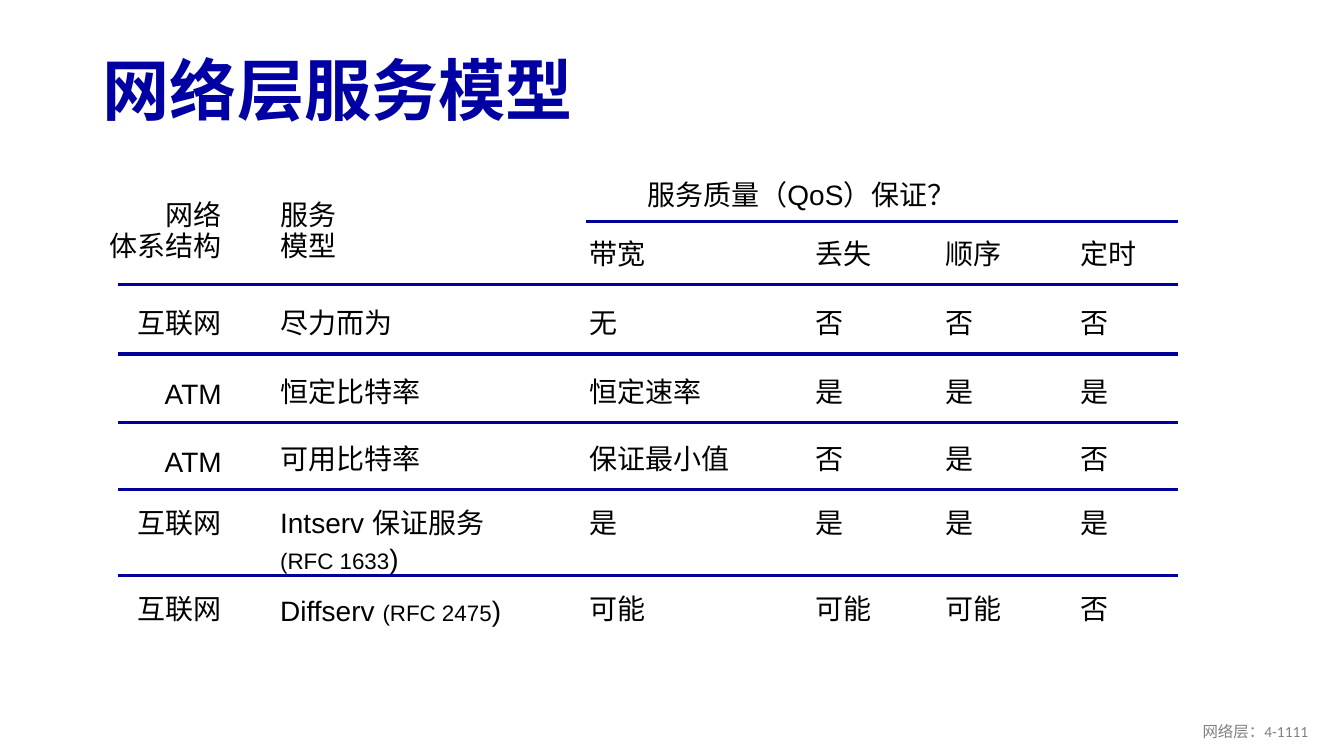
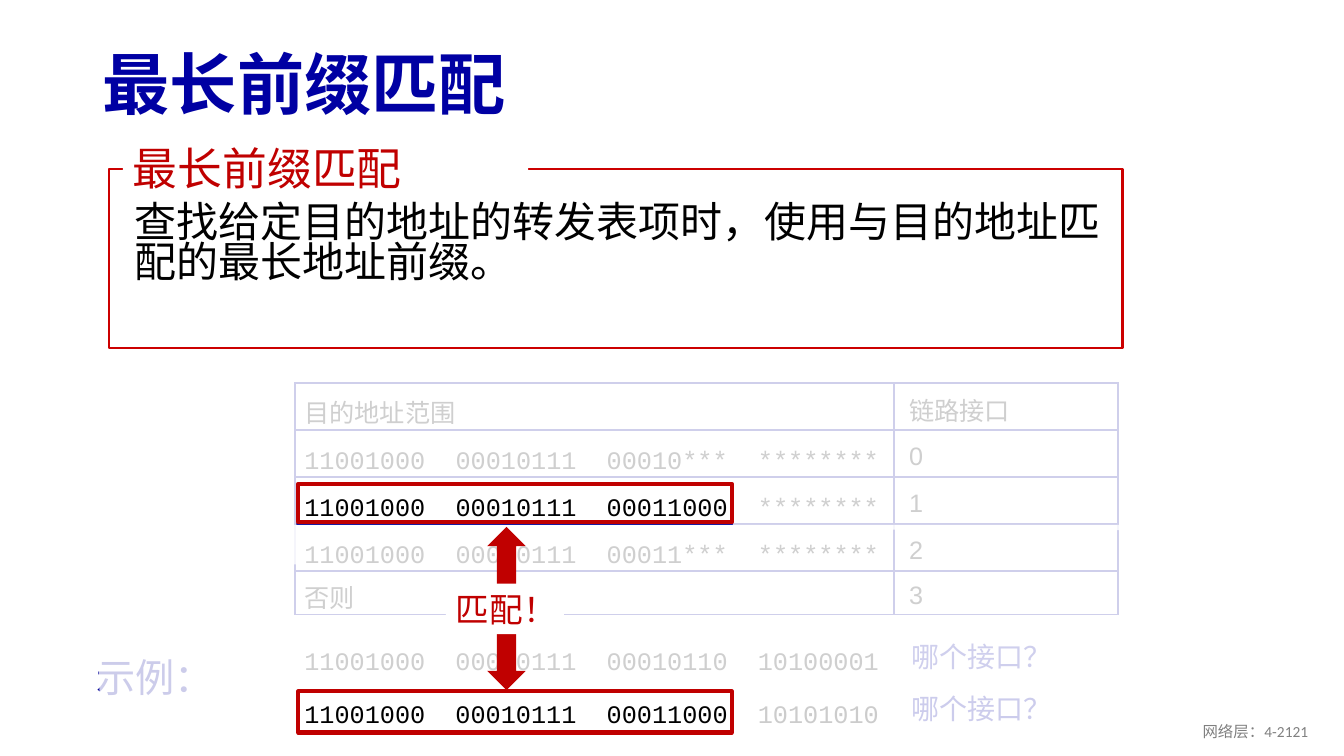
from itertools import pairwise

from lxml.etree import SubElement
from pptx import Presentation
from pptx.dml.color import RGBColor
from pptx.enum.shapes import MSO_CONNECTOR as Connector, MSO_SHAPE as Shape
from pptx.enum.text import MSO_ANCHOR as Anchor, PP_ALIGN as Align
from pptx.oxml.ns import qn
from pptx.util import Cm, Pt

TITLE_BLUE = RGBColor(0x00, 0x00, 0xA3)
RULE_BLUE = RGBColor(0x00, 0x00, 0x99)
FRAME_RED = RGBColor(0xCC, 0x00, 0x00)
MATCH_RED = RGBColor(0xC0, 0x00, 0x00)
GREY = RGBColor(0x80, 0x80, 0x80)
BLACK = RGBColor(0x00, 0x00, 0x00)
WHITE = RGBColor(0xFF, 0xFF, 0xFF)

PLAIN_TABLE = "{2D5ABB26-0587-4C30-8999-92F81FD0307C}"
OCTET_STEP = 3.81  # width of ten monospaced characters, in cm


# ---- Text and shapes ----
def write(frame, text, size=20, font="Arial", color=BLACK, bold=False,
          align=Align.LEFT, spacing=None, tab_step=None, small=16):
    """One paragraph per line; the part of a line after "|" is small, up to the next "|"."""
    for number, line in enumerate(text.split("\n")):
        paragraph = frame.paragraphs[0] if number == 0 else frame.add_paragraph()
        if tab_step:
            tabs = SubElement(paragraph._p.get_or_add_pPr(), qn("a:tabLst"))
            for stop in range(1, 4):
                SubElement(tabs, qn("a:tab"), pos=str(Cm(tab_step * stop)), algn="l")
        paragraph.alignment = align
        if spacing:
            paragraph.line_spacing = spacing
        for part, words in enumerate(line.split("|")):
            if not words:
                continue
            run = paragraph.add_run()
            run.text = words
            run.font.size = Pt(small if part == 1 else size)
            run.font.name = font
            run.font.bold = bold
            run.font.color.rgb = color


def add_text(slide, box, text, anchor=Anchor.TOP, wrap=True, **style):
    frame = slide.shapes.add_textbox(*map(Cm, box)).text_frame
    frame.word_wrap = wrap
    frame.vertical_anchor = anchor
    write(frame, text, **style)


def paint(shape, fill=None, line=None, weight=1.5, opacity=None):
    shape.shadow.inherit = False
    if fill is None:
        shape.fill.background()
    else:
        shape.fill.solid()
        shape.fill.fore_color.rgb = fill
        if opacity:
            color = shape.fill._xPr.find(".//" + qn("a:srgbClr"))
            SubElement(color, qn("a:alpha"), val=str(opacity * 1000))
    if line is None:
        shape.line.fill.background()
    else:
        shape.line.color.rgb = line
        shape.line.width = Pt(weight)


def add_box(slide, box, kind=Shape.RECTANGLE, **look):
    shape = slide.shapes.add_shape(kind, *map(Cm, box))
    paint(shape, **look)
    return shape


def add_label(slide, box, text, **style):
    label = add_box(slide, box, fill=WHITE).text_frame
    label.word_wrap = False
    label.vertical_anchor = Anchor.TOP
    write(label, text, font="Calibri", color=MATCH_RED, **style)


def add_rule(slide, left, right, y):
    rule = slide.shapes.add_connector(Connector.STRAIGHT, Cm(left), Cm(y), Cm(right), Cm(y))
    rule.line.color.rgb = RULE_BLUE
    rule.line.width = Pt(2.25)
    SubElement(rule._element.spPr, qn("a:effectLst"))


def add_veil(slide, points, opacity=81):
    start, *others = [(Cm(x), Cm(y)) for x, y in points]
    builder = slide.shapes.build_freeform(*start)
    builder.add_line_segments(others, close=True)
    paint(builder.convert_to_shape(), fill=WHITE, opacity=opacity)


# ---- Tables ----
def add_grid(slide, column_edges, row_edges):
    widths = [right - left for left, right in pairwise(column_edges)]
    heights = [bottom - top for top, bottom in pairwise(row_edges)]
    holder = slide.shapes.add_table(
        len(heights), len(widths), Cm(column_edges[0]), Cm(row_edges[0]),
        Cm(sum(widths)), Cm(sum(heights)))
    table = holder.table
    table.first_row = table.horz_banding = False
    next(holder._element.iter(qn("a:tableStyleId"))).text = PLAIN_TABLE
    for column, width in zip(table.columns, widths):
        column.width = Cm(width)
    for row, height in zip(table.rows, heights):
        row.height = Cm(height)
    return table


def format_cell(cell, left=0.1, right=0, top=0, anchor=Anchor.MIDDLE, sides=""):
    cell.margin_left, cell.margin_right = Cm(left), Cm(right)
    cell.margin_top, cell.margin_bottom = Cm(top), Cm(0)
    cell.vertical_anchor = anchor
    properties = cell._tc.get_or_add_tcPr()
    for side in sides:
        border = SubElement(properties, qn("a:ln" + side), w=str(Pt(1.5)))
        SubElement(SubElement(border, qn("a:solidFill")), qn("a:srgbClr"), val=str(RULE_BLUE))
    cell.fill.background()


# ---- Parts every slide has ----
def start_slide(deck, title, title_top):
    slide = deck.slides.add_slide(deck.slide_layouts[6])
    add_text(slide, (2.34, title_top, 29.21, 2.49), title, anchor=Anchor.MIDDLE,
             size=48, font="Calibri", color=TITLE_BLUE, bold=True, spacing=0.9)
    return slide


def add_footer(slide, page):
    add_text(slide, (25.6, 17.91, 7.62, 1.02), f"网络层：{page}", anchor=Anchor.MIDDLE,
             size=11, font="Calibri", color=GREY, align=Align.RIGHT)


# ---- Slide: service models ----
SERVICE_ROWS = [
    ["网络\n体系结构", "服务\n模型", "服务质量（QoS）保证？", "", "", ""],
    ["", "", "带宽", "丢失", "顺序", "定时"],
    ["互联网", "尽力而为", "无", "否", "否", "否"],
    ["ATM", "恒定比特率", "恒定速率", "是", "是", "是"],
    ["ATM", "可用比特率", "保证最小值", "否", "是", "否"],
    ["互联网", "Intserv 保证服务\n|(RFC 1633|)", "是", "是", "是", "是"],
    ["互联网", "Diffserv |(RFC 2475|)", "可能", "可能", "可能", "否"],
]


def add_service_table(slide, left, top):
    columns = [left + x for x in (0, 4.24, 12.04, 17.73, 21, 24.41, 26.97)]
    rows = [top + y for y in (0, 1.25, 2.82, 4.58, 6.3, 8, 10.16, 11.66)]
    table = add_grid(slide, columns, rows)
    for r, texts in enumerate(SERVICE_ROWS):
        low = r >= len(SERVICE_ROWS) - 2
        for c, text in enumerate(texts):
            tall_header = r == 0 and c < 2
            format_cell(table.cell(r, c),
                        left=0 if c == 0 else 1.55 if (r, c) == (0, 2) else 0.1,
                        right=1.37 if c == 0 else 0,
                        top=0.33 if low else 0.15 if tall_header else 0,
                        anchor=Anchor.TOP if low else Anchor.MIDDLE)
            write(table.cell(r, c).text_frame, text, spacing=Pt(22 if tall_header else 24),
                  align=Align.RIGHT if c == 0 else Align.LEFT)
    for c in (0, 1):
        table.cell(0, c).merge(table.cell(1, c))
    table.cell(0, 2).merge(table.cell(0, 5))
    # Rules between the rows; the first one spans the guarantees only
    for number, y in enumerate(rows[1:-1]):
        add_rule(slide, columns[2] if number == 0 else left + 0.25, columns[-1], y)


def build_service_slide(deck):
    slide = start_slide(deck, "网络层服务模型", 1.12)
    add_service_table(slide, 2.72, 4.34)
    add_footer(slide, "4-1111")


# ---- Slide: longest prefix matching ----
FORWARDING_ROWS = [
    ("目的地址范围", "链路接口"),
    ("11001000\t00010111\t00010***\t********", "0"),
    ("11001000\t00010111\t00011000\t********", "1"),
    ("11001000\t00010111\t00011***\t********", "2"),
    ("否则", "3"),
]
EXAMPLES = ["11001000\t00010111\t00010110\t10100001",
            "11001000\t00010111\t00011000\t10101010"]


def add_definition(slide, left, top):
    add_box(slide, (left, top, 25.55, 4.5), fill=WHITE, line=FRAME_RED)
    add_text(slide, (left + 0.4, top + 0.78, 25.68, 3.35),
             "查找给定目的地址的转发表项时，使用与目的地址匹配的最长地址前缀。",
             size=30, font="Calibri", spacing=0.8)
    add_label(slide, (left + 0.36, top - 0.84, 10.21, 1.63), "最长前缀匹配", size=32)


def add_forwarding_table(slide, left, top):
    rows = [top + y for y in (0, 1.19, 2.38, 3.56, 4.75, 5.84)]
    table = add_grid(slide, (left, left + 15.09, left + 20.73), rows)
    for r, (prefix, interface) in enumerate(FORWARDING_ROWS):
        address, link = table.cell(r, 0), table.cell(r, 1)
        format_cell(address, left=0.23, anchor=Anchor.BOTTOM, sides="LRTB")
        format_cell(link, left=0.38, top=0.14, sides="LRTB")
        write(address.text_frame, prefix, size=18, tab_step=OCTET_STEP,
              font="Courier New" if "\t" in prefix else "Arial")
        write(link.text_frame, interface, size=18)


def add_examples(slide, left, top):
    add_text(slide, (left, top + 0.2, 4.55, 1.45), "示例：", wrap=False,
             size=28, font="Calibri", color=RULE_BLUE)
    for number, address in enumerate(EXAMPLES):
        y = top + 1.33 * number
        add_text(slide, (left + 5.24, y, 15.44, 1.02), address,
                 size=18, font="Courier New", tab_step=OCTET_STEP)
        add_text(slide, (left + 20.55, y - 0.15, 5.31, 1.12), "哪个接口？", wrap=False,
                 font="Calibri", color=TITLE_BLUE)


def add_veils(slide):
    # Fade everything except the matching prefixes
    add_veil(slide, [(2.67, 9.17), (29.08, 9.19), (28.91, 13.36), (18.47, 13.34),
                     (18.47, 12.12), (7.47, 12.12), (7.47, 14.22), (2.39, 14.4)])
    add_box(slide, (6.4, 13.23, 22.56, 3.73), fill=WHITE, opacity=81)
    add_veil(slide, [(2.54, 19.05), (28.98, 19), (28.98, 17.2), (18.49, 17.32),
                     (18.42, 18.54), (7.26, 18.44), (7.39, 16.59), (2.49, 16.43)], opacity=80)


def add_match(slide, left, top):
    for y, height in ((0, 0.97), (5.23, 1.04)):
        add_box(slide, (left, top + y, 10.92, height), line=MATCH_RED, weight=3)
    add_box(slide, (left + 4.76, top + 1.09, 0.97, 4.11), Shape.UP_DOWN_ARROW, fill=MATCH_RED)
    add_label(slide, (left + 3.72, top + 2.52, 2.97, 1.27), "匹配！", size=24)


def build_prefix_slide(deck):
    slide = start_slide(deck, "最长前缀匹配", 0.97)
    add_definition(slide, 2.74, 4.27)
    add_forwarding_table(slide, 7.44, 9.65)
    add_examples(slide, 2.18, 16.13)
    add_veils(slide)
    add_match(slide, 7.52, 12.19)
    add_footer(slide, "4-2121")


def main():
    deck = Presentation()
    deck.slide_width, deck.slide_height = Cm(33.87), Cm(19.05)
    build_service_slide(deck)
    build_prefix_slide(deck)
    deck.save("out.pptx")


if __name__ == "__main__":
    main()
